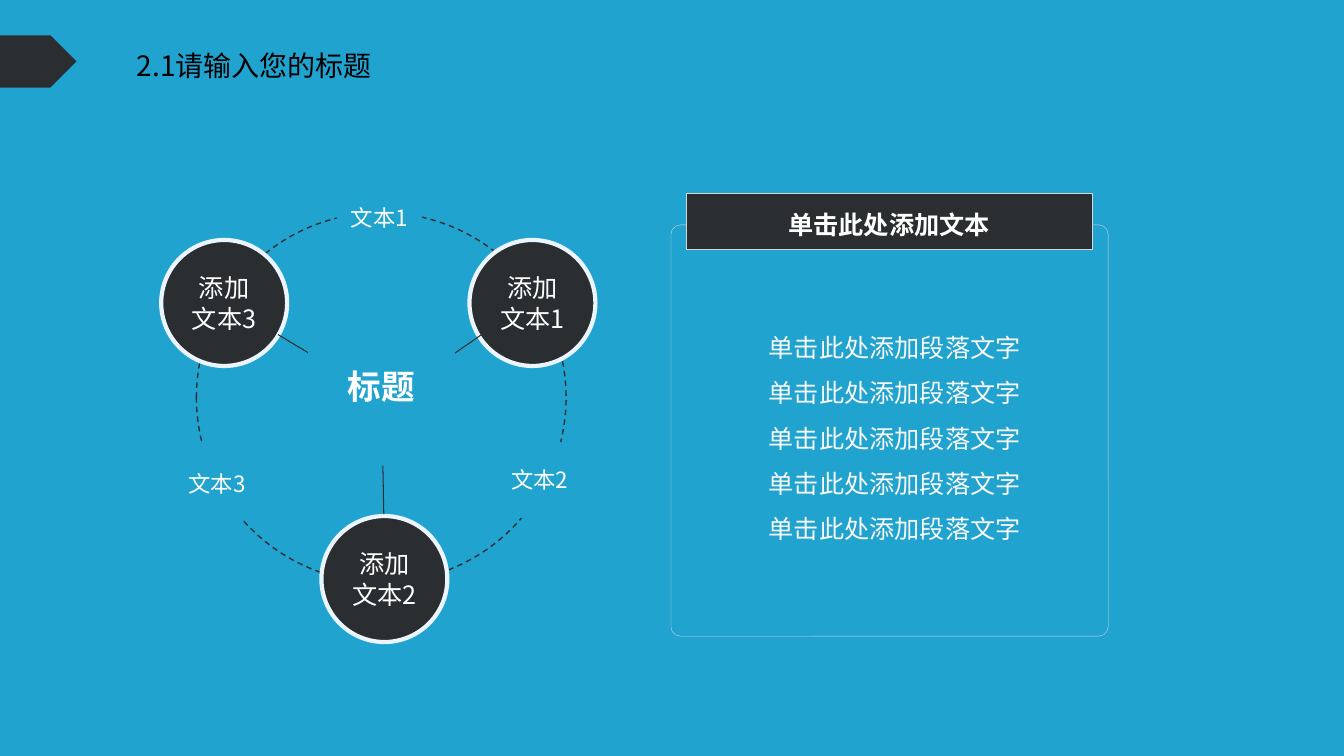
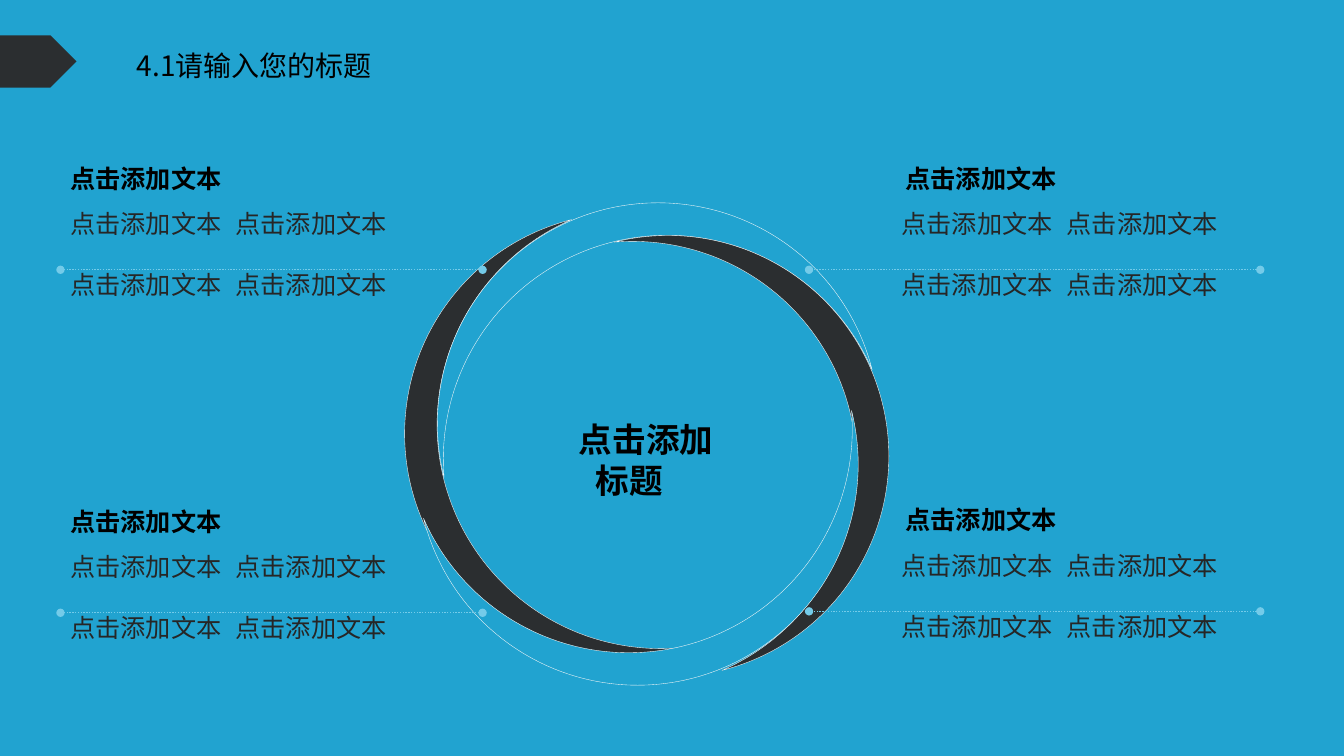
from dataclasses import dataclass

from lxml.etree import SubElement
from pptx import Presentation
from pptx.dml.color import RGBColor
from pptx.enum.dml import MSO_LINE as DASH
from pptx.enum.shapes import MSO_CONNECTOR, MSO_SHAPE as SHAPE
from pptx.enum.text import MSO_ANCHOR as ANCHOR, PP_ALIGN as ALIGN
from pptx.oxml.ns import qn
from pptx.util import Pt


@dataclass(frozen=True)
class Theme:
    sky: str = "21A3D0"
    dark: str = "2B2E30"
    ring: str = "EBF5FF"
    edge: str = "D7D7D7"
    pale: str = "F8F8F8"
    guide: str = "74CBE9"
    white: str = "FFFFFF"
    black: str = "000000"
    grey: str = "262626"
    font: str = "Noto Sans CJK SC"
    accent_font: str = "Roboto Condensed"
    hub: int = 24
    title: int = 20
    body: int = 18
    label: int = 16


THEME = Theme()

# Content; positions in points
CYCLE = {
    "title": "2.1请输入您的标题",
    "hub": "标题",
    "nodes": [("添加文本3", 115.2, 171.4), ("添加文本1", 335.5, 171.4),
              ("添加文本2", 229.7, 368.6)],
    "labels": [("文本1", 240.5, 124.6), ("文本2", 355, 311.8), ("文本3", 124.6, 314.6)],
    "spokes": [(274.3, 367.2, 273.6, 331.9), (344.2, 239, 316.1, 258.5),
               (198.7, 239, 231.1, 258.5)],
    "panel_head": "单击此处添加文本",
    "panel": ["单击此处添加段落文字"] * 5,
}
RING = {
    "title": "4.1请输入您的标题",
    "hub": "点击添加标题",
    "head": "点击添加文本",
    "body": ["点击添加文本"] * 2,
    # centre x, centre y, fill; each moon is a quarter turn after the last
    "moons": [(370.4, 329, THEME.dark), (451.1, 226.1, THEME.sky),
              (554, 306.7, THEME.dark), (474.8, 408.2, THEME.sky)],
    # head x, body x, body y, line start x, line end x
    "corners": [(640.1, 637.2, 145.5, 900.7, 578.2), (640.1, 637.2, 389.5, 900.7, 578.2),
                (43.2, 43.2, 145.5, 344.9, 43.2), (43.2, 43.2, 390.5, 344.9, 43.2)],
}


# Drawing helpers
def rgb(value):
    return RGBColor.from_string(value)


def set_line(line, color, width, dash=None):
    line.color.rgb = rgb(color)
    line.width = Pt(width)
    if dash:
        line.dash_style = dash


def write(shape, lines, size, color, bold=False, align=ALIGN.CENTER, anchor=ANCHOR.MIDDLE,
          wrap=True, spacing=None, gap=0, font=THEME.font):
    frame = shape.text_frame
    frame.word_wrap = wrap
    frame.vertical_anchor = anchor
    for index, line in enumerate(lines):
        para = frame.paragraphs[0] if index == 0 else frame.add_paragraph()
        para.text = line
        para.alignment = align
        if spacing:
            para.line_spacing = spacing
        if index and gap:
            para.space_before = Pt(gap)
        para.font.size = Pt(size)
        para.font.bold = bold
        para.font.color.rgb = rgb(color)
        para.font.name = font
        # East Asian typeface
        props = para._p.get_or_add_pPr().find(qn("a:defRPr"))
        SubElement(props, qn("a:ea")).set("typeface", font)
    return frame


def add_shape(page, kind, x, y, width, height, fill=None, line=None, adjust=None):
    shape = page.shapes.add_shape(kind, Pt(x), Pt(y), Pt(width), Pt(height))
    shape.shadow.inherit = False
    if fill:
        shape.fill.solid()
        shape.fill.fore_color.rgb = rgb(fill)
    else:
        shape.fill.background()
    if line:
        set_line(shape.line, *line)
    else:
        shape.line.fill.background()
    if adjust is not None:
        shape.adjustments[0] = adjust
    return shape


def add_text(page, x, y, width, height, lines, size, color, **style):
    box = page.shapes.add_textbox(Pt(x), Pt(y), Pt(width), Pt(height))
    return write(box, lines, size, color, **{"align": ALIGN.LEFT, "anchor": ANCHOR.TOP, **style})


def add_line(page, x1, y1, x2, y2, color, width, dash=None, ends=None):
    link = page.shapes.add_connector(MSO_CONNECTOR.STRAIGHT, Pt(x1), Pt(y1), Pt(x2), Pt(y2))
    set_line(link.line, color, width, dash)
    if ends:
        for tag in ("a:headEnd", "a:tailEnd"):
            SubElement(link.line._get_or_add_ln(), qn(tag)).set("type", ends)
    SubElement(link._element.spPr, qn("a:effectLst"))


def add_page(deck, title):
    page = deck.slides.add_slide(deck.slide_layouts[6])
    add_text(page, 90.7, 31, 184.3, 31.7, [title], THEME.title, THEME.black)
    add_shape(page, SHAPE.PENTAGON, 0, 25.2, 54.7, 37.4, THEME.dark, adjust=0.5)
    return page


# Slides
def build_cycle(deck):
    page = add_page(deck, CYCLE["title"])
    edge = (THEME.edge, 0.25)

    panel = add_shape(page, SHAPE.ROUNDED_RECTANGLE, 479.5, 160.6, 312.5, 293.8,
                      THEME.sky, edge, 0.023)
    frame = write(panel, CYCLE["panel"], THEME.body, THEME.pale, spacing=1.5)
    frame.margin_left = Pt(14.4)

    # Orbit, its nodes, and the labels that interrupt it
    add_shape(page, SHAPE.OVAL, 140.4, 151.9, 264.2, 264.2, line=(THEME.dark, 1, DASH.DASH))
    for text, x, y in CYCLE["nodes"]:
        node = add_shape(page, SHAPE.OVAL, x, y, 90, 90, THEME.dark, (THEME.ring, 3))
        write(node, [text], THEME.body, THEME.white)
    for text, x, y in CYCLE["labels"]:
        label = add_shape(page, SHAPE.OVAL, x, y, 61.2, 61.2, THEME.sky)
        write(label, [text], THEME.label, THEME.white, wrap=False)
    for spoke in CYCLE["spokes"]:
        add_line(page, *spoke, THEME.dark, 0.75)

    head = add_shape(page, SHAPE.ROUNDED_RECTANGLE, 490.3, 138.2, 290.2, 39.6,
                     THEME.dark, edge, 0)
    write(head, [CYCLE["panel_head"]], THEME.body, THEME.white, bold=True, spacing=1.2)
    hub = add_shape(page, SHAPE.OVAL, 214.6, 219.6, 115.9, 113, THEME.sky)
    write(hub, [CYCLE["hub"]], THEME.hub, THEME.white, bold=True, wrap=False,
          font=THEME.accent_font)


def build_ring(deck):
    page = add_page(deck, RING["title"])

    # Four moons around the hub
    width, height = 157.7, 315.4
    for turn, (x, y, fill) in enumerate(RING["moons"]):
        moon = add_shape(page, SHAPE.MOON, x - width / 2, y - height / 2, width, height,
                         fill, (THEME.pale, 0.25), 0.152)
        moon.rotation = (345.9 + 90 * turn) % 360
    frame = add_text(page, 404.6, 295.9, 114.5, 65.5, [RING["hub"]], THEME.hub,
                     THEME.black, bold=True)
    # Hanging indent sets the second line in from the first
    props = frame.paragraphs[0]._p.get_or_add_pPr()
    props.set("marL", str(Pt(14)))
    props.set("indent", str(Pt(-12)))

    # Corner notes: two columns, a heading and a dotted guide
    for head_x, body_x, y, start, end in RING["corners"]:
        for column in range(2):
            add_text(page, body_x + 118 * column, y, 130.3, 94.3, RING["body"],
                     THEME.body, THEME.grey, gap=22)
        add_text(page, head_x, y - 32.5, 165.6, 28.8, [RING["head"]], THEME.body,
                 THEME.black, bold=True)
        add_line(page, start, y + 47.2, end, y + 47.2, THEME.guide, 1, DASH.ROUND_DOT, "oval")


def main():
    deck = Presentation()
    deck.slide_width, deck.slide_height = Pt(960.5), Pt(540)
    backdrop = deck.slide_master.background.fill
    backdrop.solid()
    backdrop.fore_color.rgb = rgb(THEME.sky)
    build_cycle(deck)
    build_ring(deck)
    deck.save("out.pptx")


if __name__ == "__main__":
    main()
